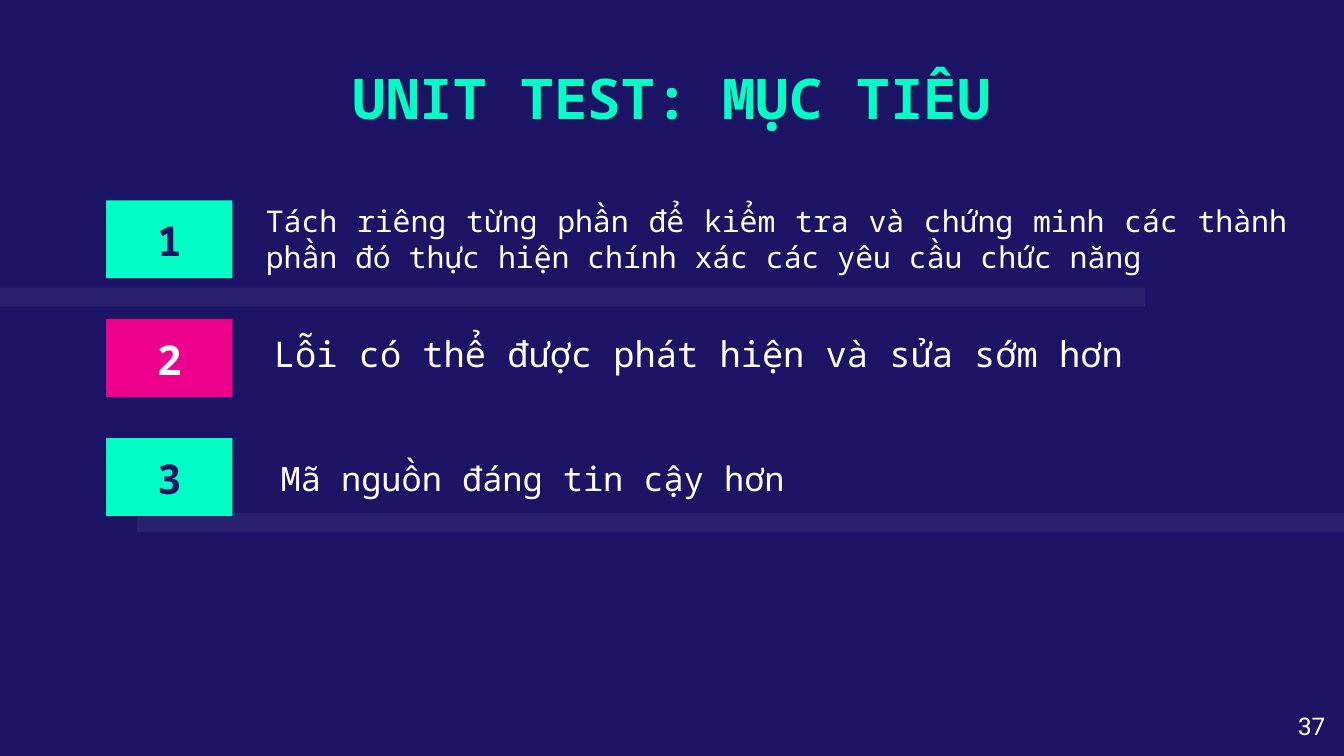
from pptx import Presentation
from pptx.dml.color import RGBColor
from pptx.enum.shapes import MSO_SHAPE
from pptx.enum.text import MSO_ANCHOR, PP_ALIGN
from pptx.oxml.ns import qn
from pptx.util import Inches, Pt
from lxml.etree import SubElement

NAVY = RGBColor(0x1B, 0x14, 0x64)
MINT = RGBColor(0x00, 0xFF, 0xC5)
PINK = RGBColor(0xEC, 0x00, 0x8C)
WHITE = RGBColor(0xFF, 0xFF, 0xFF)
MONO, SANS = "Noto Sans Mono", "Roboto"

WIDTH = 10
HEIGHT = WIDTH * 9 / 16
BADGE_LEFT, BADGE_WIDTH, BADGE_HEIGHT = 0.79, 0.94, 0.58
FIRST_BADGE_TOP, LAST_BADGE_TOP = 1.49, 3.26

TITLE = "UNIT TEST: MỤC TIÊU"
PAGE_NUMBER = "37"
GOALS = [
    {"text": "Tách riêng từng phần để kiểm tra và chứng minh các thành phần đó "
             "thực hiện chính xác các yêu cầu chức năng",
     "box": (1.88, 1.41, 7.8, 1.44), "size": 16, "align": PP_ALIGN.JUSTIFY,
     "fill": MINT, "ink": NAVY},
    {"text": "Lỗi có thể được phát hiện và sửa sớm hơn",
     "box": (1.94, 2.37, 6.97, 0.58), "size": 19, "align": PP_ALIGN.JUSTIFY,
     "fill": PINK, "ink": WHITE},
    {"text": "Mã nguồn đáng tin cậy hơn",
     "box": (1.99, 3.31, 7.37, 0.73), "size": 18, "align": PP_ALIGN.LEFT,
     "fill": MINT, "ink": NAVY},
]
ROW_STEP = (LAST_BADGE_TOP - FIRST_BADGE_TOP) / (len(GOALS) - 1)
BANDS = [(0, 2.14, 8.52, 0.14), (1.02, 3.82, 8.98, 0.14)]


def add_rectangle(slide, box, color, opacity=100):
    shape = slide.shapes.add_shape(MSO_SHAPE.RECTANGLE, *map(Inches, box))
    shape.shadow.inherit = False
    shape.fill.solid()
    shape.fill.fore_color.rgb = color
    shape.line.fill.background()
    if opacity < 100:
        fill_element = shape.element.spPr.find(qn("a:solidFill"))
        SubElement(fill_element[0], qn("a:alpha"), val=str(opacity * 1000))
    return shape


def write(shape, text, size, color, align, font=MONO, bold=False,
          anchor=MSO_ANCHOR.TOP):
    frame = shape.text_frame
    frame.word_wrap = True
    frame.vertical_anchor = anchor
    for side in ("left", "top", "right", "bottom"):
        setattr(frame, f"margin_{side}", Inches(0.1))
    paragraph = frame.paragraphs[0]
    paragraph.alignment = align
    run = paragraph.add_run()
    run.text = text
    for name, value in {"name": font, "size": Pt(size), "bold": bold}.items():
        setattr(run.font, name, value)
    run.font.color.rgb = color


def add_text(slide, box, *content, **style):
    write(slide.shapes.add_textbox(*map(Inches, box)), *content, **style)


def main():
    presentation = Presentation()
    presentation.slide_width = Inches(WIDTH)
    presentation.slide_height = Inches(HEIGHT)
    slide = presentation.slides.add_slide(presentation.slide_layouts[6])
    slide.background.fill.solid()
    slide.background.fill.fore_color.rgb = NAVY

    for band in BANDS:
        add_rectangle(slide, band, WHITE, opacity=6)
    add_text(slide, (1.4, 0.37, 7.2, 0.73), TITLE, 30, MINT,
             PP_ALIGN.CENTER, bold=True)

    for row, goal in enumerate(GOALS):
        add_text(slide, goal["box"], goal["text"], goal["size"], WHITE,
                 goal["align"])
        badge_box = (BADGE_LEFT, FIRST_BADGE_TOP + row * ROW_STEP,
                     BADGE_WIDTH, BADGE_HEIGHT)
        badge = add_rectangle(slide, badge_box, goal["fill"])
        write(badge, str(row + 1), 22, goal["ink"], PP_ALIGN.CENTER,
              bold=True, anchor=MSO_ANCHOR.BOTTOM)

    add_text(slide, (9.36, 5.19, 0.6, 0.43), PAGE_NUMBER, 13, WHITE,
             PP_ALIGN.RIGHT, font=SANS)
    presentation.save("out.pptx")


if __name__ == "__main__":
    main()
